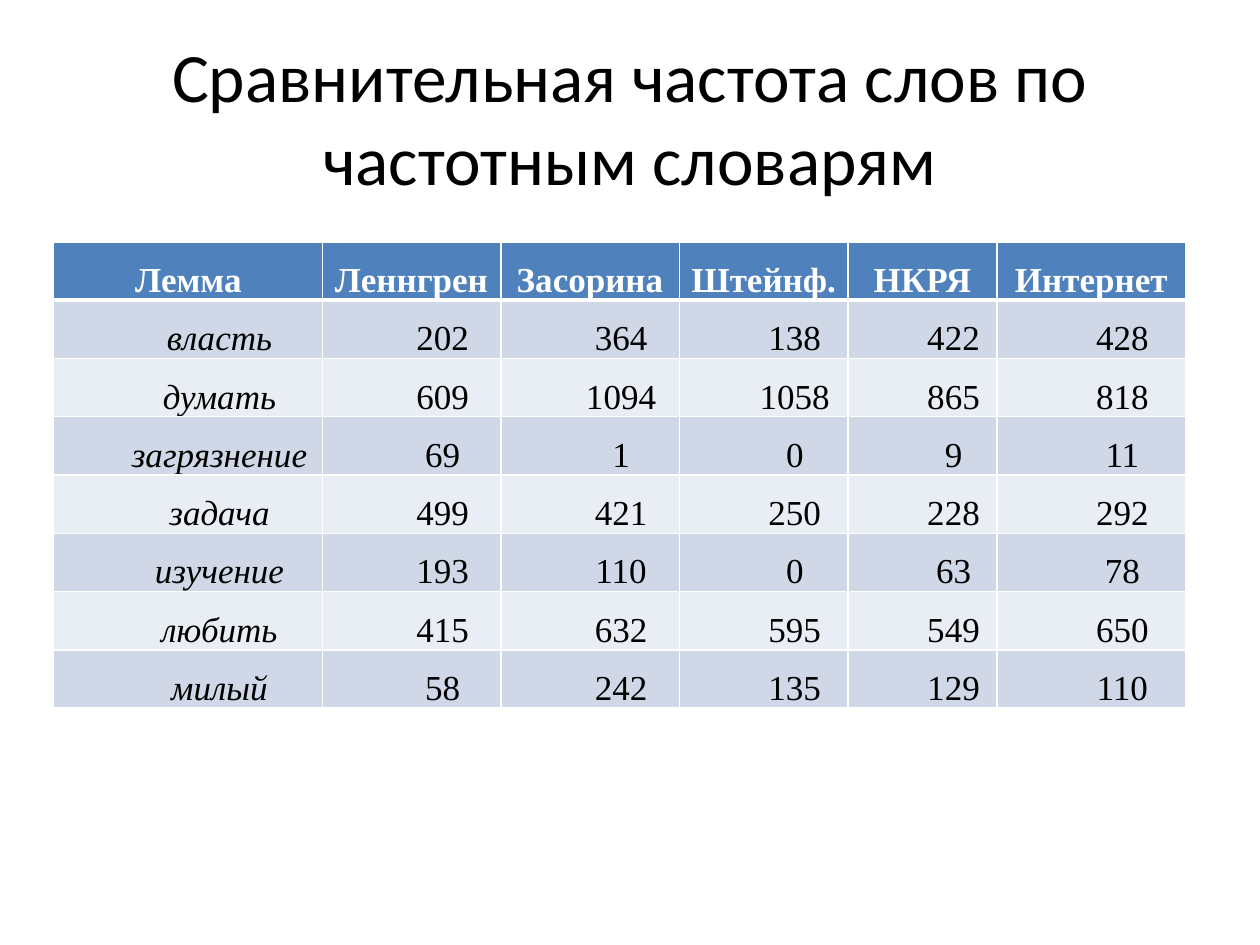
from lxml import etree
from pptx import Presentation
from pptx import util as u
from pptx.dml.color import RGBColor
from pptx.enum import text
from pptx.oxml import ns

TITLE = "Сравнительная частота слов по частотным словарям"
HEADER = ["Лемма", "Леннгрен", "Засорина", "Штейнф.", "НКРЯ", "Интернет"]
FREQUENCIES = [
    ["власть", 202, 364, 138, 422, 428],
    ["думать", 609, 1094, 1058, 865, 818],
    ["загрязнение", 69, 1, 0, 9, 11],
    ["задача", 499, 421, 250, 228, 292],
    ["изучение", 193, 110, 0, 63, 78],
    ["любить", 415, 632, 595, 549, 650],
    ["милый", 58, 242, 135, 129, 110],
]
COLUMNS = [154, 102, 102, 96.5, 85, 108]
ROW = 29.5


def rgb(value):
    return RGBColor.from_string(value)


class Deck:
    """Holds the style and the current slide."""

    heading, body = "Calibri", "Times New Roman"
    black, white = "000000", "FFFFFF"
    header, bands = "4F81BD", ("D0D8E8", "E9EDF4")

    def __init__(self, width, height):
        self.prs = Presentation()
        self.prs.slide_width, self.prs.slide_height = u.Pt(width), u.Pt(height)
        self.s = self.prs.slides.add_slide(self.prs.slide_layouts[5])

    def run(self, p, words, font, size, color, bold=False, italic=False):
        r = p.add_run()
        r.text = words
        r.font.name, r.font.size = font, u.Pt(size)
        r.font.bold, r.font.italic = bold, italic
        r.font.color.rgb = rgb(color)

    def title(self, words, left, top, width, height):
        sp = self.s.shapes.title
        sp.left, sp.top, sp.width, sp.height = map(u.Pt, (left, top, width, height))
        tf = sp.text_frame
        tf.word_wrap = True
        tf.auto_size = text.MSO_AUTO_SIZE.NONE
        tf.vertical_anchor = text.MSO_ANCHOR.MIDDLE
        p = tf.paragraphs[0]
        p.alignment = text.PP_ALIGN.CENTER
        self.run(p, words, self.heading, 39.6, self.black)

    def borders(self, cell, widths):
        tc_pr = cell._tc.get_or_add_tcPr()
        for side, width in widths.items():
            ln = etree.SubElement(tc_pr, ns.qn("a:ln" + side), w=str(u.Pt(width)))
            fill = etree.SubElement(ln, ns.qn("a:solidFill"))
            etree.SubElement(fill, ns.qn("a:srgbClr"), val=self.white)

    def cell(self, cell, words, row, col):
        is_header = row == 0
        cell.margin_left = cell.margin_right = u.Pt(5)
        cell.margin_top = cell.margin_bottom = 0
        below = 3 if is_header else 1
        above = 3 if row == 1 else 1
        self.borders(cell, {"L": 1, "R": 1, "T": above, "B": below})
        cell.fill.solid()
        cell.fill.fore_color.rgb = rgb(self.header if is_header else self.bands[(row - 1) % 2])
        p = cell.text_frame.paragraphs[0]
        p.alignment = text.PP_ALIGN.CENTER
        p.line_spacing, p.space_after = 1.5, u.Pt(4)
        p_pr = p._p.get_or_add_pPr()
        p_pr.set("marL", str(u.Pt(0 if col else 1)))
        p_pr.set("indent", str(u.Pt(0 if is_header else 35.5)))
        self.run(p, str(words), self.body, 20, self.white if is_header else self.black,
                 bold=is_header, italic=not is_header and col == 0)

    def table(self, rows, left, top, columns, row_height):
        frame = self.s.shapes.add_table(
            len(rows), len(columns), u.Pt(left), u.Pt(top),
            u.Pt(sum(columns)), u.Pt(row_height * len(rows)))
        table = frame.table
        for column, width in zip(table.columns, columns):
            column.width = u.Pt(width)
        for i, values in enumerate(rows):
            table.rows[i].height = u.Pt(row_height)
            for j, value in enumerate(values):
                self.cell(table.cell(i, j), value, i, j)


deck = Deck(720, 540)
deck.title(TITLE, 36, 21.6, 648, 90)
deck.table([HEADER] + FREQUENCIES, 30.2, 138.2, COLUMNS, ROW)
deck.prs.save("out.pptx")
